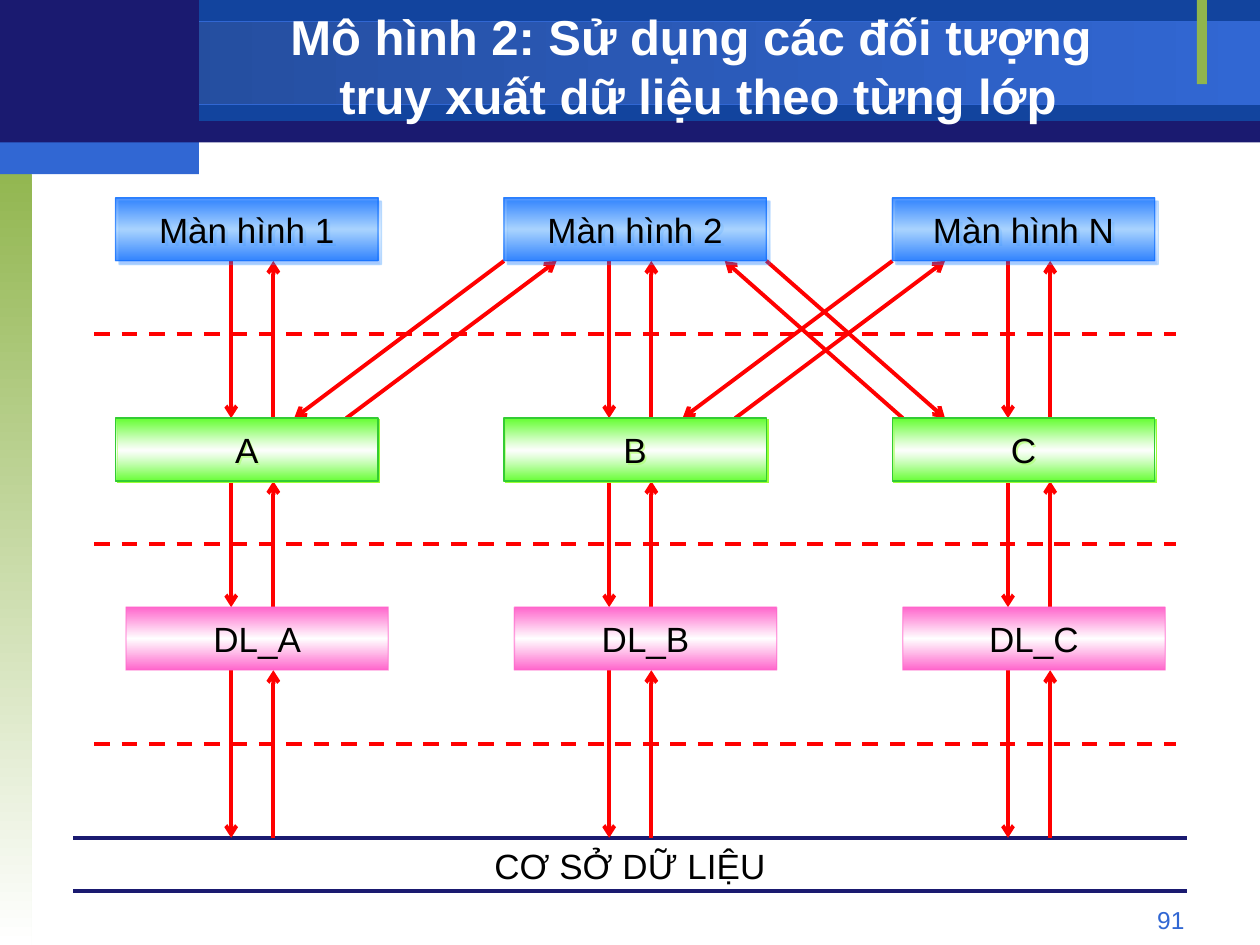
from lxml.etree import SubElement
from pptx import Presentation
from pptx.dml.color import RGBColor
from pptx.enum.dml import MSO_LINE
from pptx.enum.shapes import MSO_CONNECTOR, MSO_SHAPE
from pptx.enum.text import MSO_ANCHOR, MSO_AUTO_SIZE, PP_ALIGN
from pptx.oxml.ns import qn
from pptx.util import Cm, Pt

NAVY, BLUE, OLIVE, RED = "1A1A70", "3167D3", "90B54D", "FF0000"
TITLE = "Mô hình 2: Sử dụng các đối tượng \vtruy xuất dữ liệu theo từng lớp"

# left, top, width, height in cm, then fill stops, then line
BARS = [
    ((0, 0.03, 25.4, 2.84), [NAVY], None),
    ((4.01, 0, 21.39, 2.44), ["12449E"], None),
    ((0, 0.43, 25.4, 1.68), ["234A97", BLUE], BLUE),
    ((0, 3.18, 0.64, 15.87), [OLIVE, "FFFFFF"], None),
    ((24.13, 0, 0.2, 1.7), [OLIVE], None),
    ((0, 0, 4.01, 2.97), [NAVY], None),
    ((0, 2.87, 4.01, 0.64), [BLUE], None),
]

# fills are (colour, opacity %); shadow is colour, opacity %, distance in pt
ROWS = [
    dict(names=["Màn hình 1", "Màn hình 2", "Màn hình N"], left=2.33, top=3.99,
         stops=[("0066FF", 71), ("99CCFF", 71), ("0066FF", 71)],
         line=("0066FF", 60), shadow=("3399FF", 50, 2.8)),
    dict(names=["A", "B", "C"], left=2.33, top=8.43,
         stops=[("66FF33", 100), ("FFFFFF", 50), ("66FF33", 100)],
         line=("33CC33", 100), shadow=("99FF33", 100, 1.4)),
    dict(names=["DL_A", "DL_B", "DL_C"], left=2.54, top=12.24,
         stops=[("FF66CC", 100), ("FFFFFF", 100), ("FF66CC", 100)],
         line=("FF66CC", 60), shadow=None),
]
BOX_W, BOX_H, STEP = 5.29, 1.27, 7.83
DOWN_X, UP_GAP = [4.66, 12.28, 20.32], 0.85
DASH_Y = [6.73, 10.97, 14.99]
BASE_TOP, BASE_END = 16.89, 17.96

# x on the screen row, x on the object row, whether the arrow goes up
CROSS = [
    (10.16, 5.93, False), (11.22, 6.98, True),
    (17.99, 13.76, False), (19.05, 14.82, True),
    (14.61, 18.2, True), (15.45, 19.05, False),
]


def rgb(code):
    return RGBColor.from_string(code)


def tint(parent, code, opacity=100):
    """Add a colour element, with its opacity in percent."""
    node = SubElement(parent, qn("a:srgbClr"), val=code)
    if opacity < 100:
        SubElement(node, qn("a:alpha"), val=str(opacity * 1000))


def blend(shape, stops, angle):
    """Fill with evenly spaced (colour, opacity) stops."""
    shape.fill.gradient()
    shape.fill.gradient_angle = angle
    group = shape.element.spPr.find(".//" + qn("a:gsLst"))
    for old in list(group):
        group.remove(old)
    for i, stop in enumerate(stops):
        place = 100000 * i // (len(stops) - 1)
        tint(SubElement(group, qn("a:gs"), pos=str(place)), *stop)


def write(shape, text, size=20, color="000000", bold=False,
          align=PP_ALIGN.CENTER, anchor=MSO_ANCHOR.MIDDLE):
    frame = shape.text_frame
    frame.word_wrap = True
    frame.auto_size = MSO_AUTO_SIZE.NONE
    frame.vertical_anchor = anchor
    frame.text = text
    para = frame.paragraphs[0]
    para.alignment = align
    for run in para.runs:
        font = run.font
        font.name, font.size, font.bold = "Arial", Pt(size), bold
        font.color.rgb = rgb(color)


def rect(slide, area, stops, line=None, shadow=None, angle=270):
    shape = slide.shapes.add_shape(MSO_SHAPE.RECTANGLE, *map(Cm, area))
    shape.shadow.inherit = False
    if len(stops) == 1:
        shape.fill.solid()
        shape.fill.fore_color.rgb = rgb(stops[0][0])
    else:
        blend(shape, stops, angle)
    if line:
        shape.line.width = Pt(0.75)
        shape.line.fill.solid()
        edge = shape.element.spPr.find(qn("a:ln")).find(qn("a:solidFill"))
        for old in list(edge):
            edge.remove(old)
        tint(edge, *line)
    else:
        shape.line.fill.background()
    if shadow:
        code, opacity, gap = shadow
        effect = shape.element.spPr.find(qn("a:effectLst"))
        outer = SubElement(effect, qn("a:outerShdw"), dist=str(Pt(gap)),
                           dir="2700000", algn="ctr", rotWithShape="0")
        tint(outer, code, opacity)
    return shape


def rule(slide, start, end, color=RED, dash=False, arrow=False):
    line = slide.shapes.add_connector(
        MSO_CONNECTOR.STRAIGHT, *map(Cm, start + end))
    line.line.width = Pt(2.25)
    line.line.color.rgb = rgb(color)
    if dash:
        line.line.dash_style = MSO_LINE.DASH
    props = line.element.spPr
    if arrow:
        SubElement(props.find(qn("a:ln")), qn("a:tailEnd"), type="arrow")
    SubElement(props, qn("a:effectLst"))


def label(slide, area, text, **fmt):
    box = slide.shapes.add_textbox(*map(Cm, area))
    write(box, text, anchor=MSO_ANCHOR.TOP, **fmt)


def frame(slide):
    """Draw the bars, the title over them and the page number."""
    for area, stops, line in BARS:
        wide = area[2] > area[3]
        rect(slide, area, [(code, 100) for code in stops],
             line and (line, 100), angle=0 if wide else 270)
    title = slide.shapes.title
    title.left, title.top, title.width, title.height = map(
        Cm, (4.01, 0.58, 20.12, 1.47))
    write(title, TITLE, size=28, color="FFFFFF", bold=True)
    title.element.getparent().append(title.element)
    label(slide, (18.21, 18.11, 5.92, 0.69), "91", size=14, color=BLUE,
          align=PP_ALIGN.RIGHT)


def model(slide):
    """Draw the rows of boxes and the arrows between them."""
    for y in (BASE_TOP, BASE_END):
        rule(slide, (1.48, y), (23.92, y), color=NAVY)
    label(slide, (1.48, BASE_TOP, 22.44, 1.09), "CƠ SỞ DỮ LIỆU")
    for y in DASH_Y:
        rule(slide, (1.9, y), (23.71, y), dash=True)

    tops = [row["top"] for row in ROWS] + [BASE_TOP]
    for high, low in zip(tops, tops[1:]):
        for x in DOWN_X:
            up = x + UP_GAP
            rule(slide, (x, high + BOX_H), (x, low), arrow=True)
            rule(slide, (up, low), (up, high + BOX_H), arrow=True)
    for above, below, rises in CROSS:
        start, end = (above, tops[0] + BOX_H), (below, tops[1])
        if rises:
            start, end = end, start
        rule(slide, start, end, arrow=True)

    for row in ROWS:
        for i, name in enumerate(row["names"]):
            area = (row["left"] + i * STEP, row["top"], BOX_W, BOX_H)
            write(rect(slide, area, row["stops"], row["line"], row["shadow"]),
                  name)


def main():
    deck = Presentation()
    deck.slide_width, deck.slide_height = Cm(25.4), Cm(19.05)
    slide = deck.slides.add_slide(deck.slide_layouts[5])
    frame(slide)
    model(slide)
    deck.save("out.pptx")


if __name__ == "__main__":
    main()
